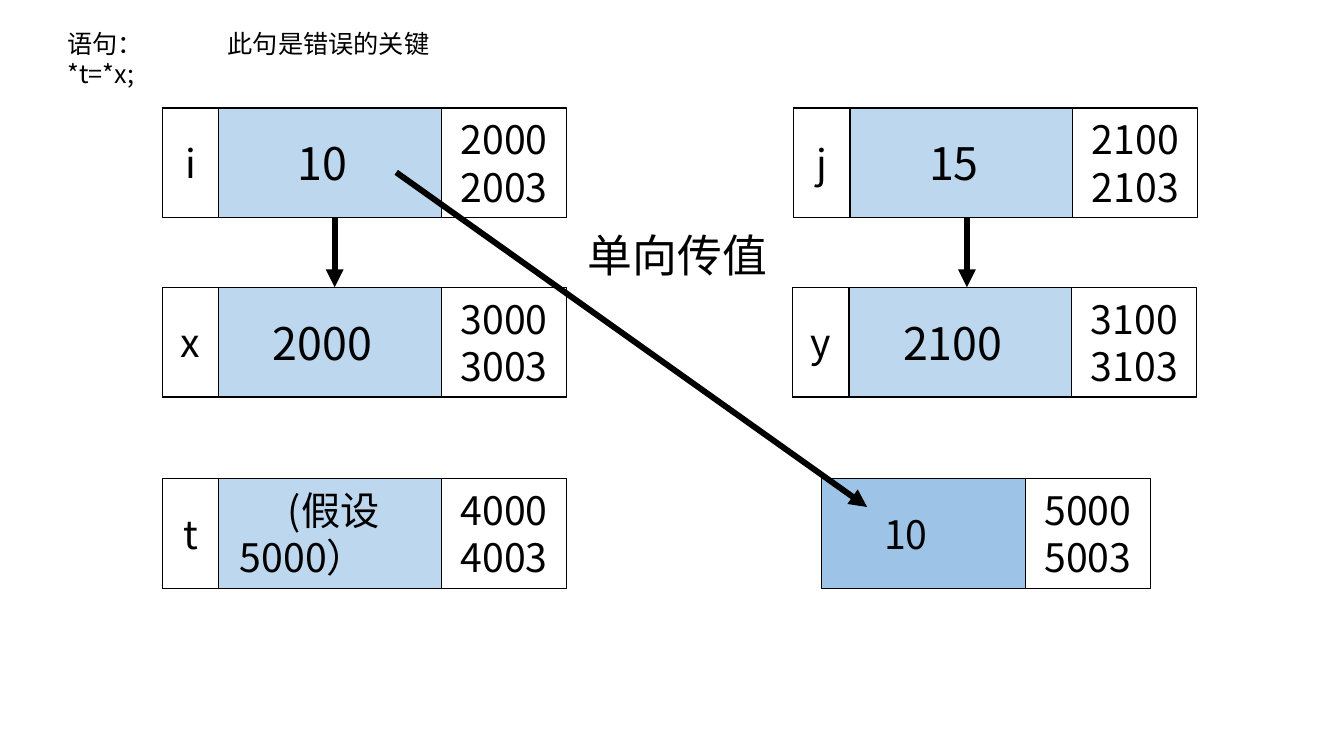
from pptx import Presentation
from pptx.dml.color import RGBColor
from pptx.enum.shapes import MSO_CONNECTOR as Connector, MSO_SHAPE as Shape
from pptx.enum.text import MSO_ANCHOR as Anchor, MSO_AUTO_SIZE as AutoSize, PP_ALIGN as Align
from pptx.oxml.ns import qn
from pptx.util import Inches, Pt

FONT = "Noto Sans CJK SC"
BLACK, WHITE, PALE_BLUE, MID_BLUE = "000000", "FFFFFF", "BDD7EE", "9DC3E6"
CELL_HEIGHT, LABEL_WIDTH, ADDRESS_WIDTH = 1.09, 0.56, 1.24
VALUE_WIDTH, OVERLAP = 2.79, 0.02

# label, value, first address, left, top, value format
VARIABLES = [
    ("i", "10", 2000, 1.61, 1.07, {}),
    ("j", "15", 2100, 7.87, 1.07, {}),
    ("x", "2000", 3000, 1.61, 2.85, {}),
    ("y", "2100", 3100, 7.86, 2.85, {}),
    ("t", "(假设5000）", 4000, 1.61, 4.75, {"size": 28, "inset": 0.1, "indent": 0.61}),
]
TARGET_FORMAT = {"size": 28, "inset": 0.62, "align": Align.LEFT, "fill": MID_BLUE}


def color(hex_value):
    return RGBColor.from_string(hex_value)


def set_format(target, values):
    for name, value in values.items():
        setattr(target, name, value)


def write(frame, lines, size, align=Align.LEFT, indent=0):
    """Fill a text frame with one paragraph per line."""
    for index, line in enumerate(lines):
        para = frame.add_paragraph() if index else frame.paragraphs[0]
        para.alignment = align
        if indent:
            para._p.get_or_add_pPr().set("indent", str(Inches(indent)))
        span = para.add_run()
        span.text = line
        set_format(span.font, {"name": FONT, "size": Pt(size)})
        span.font.color.rgb = color(BLACK)
        east_asian = span.font._element.makeelement(qn("a:ea"), {"typeface": FONT})
        span.font._element.find(qn("a:latin")).addnext(east_asian)


def add_cell(group, left, top, width, lines, size=28, fill=WHITE, inset=0.1,
             align=Align.CENTER, indent=0):
    box = group.shapes.add_shape(Shape.RECTANGLE, Inches(left), Inches(top),
                                 Inches(width), Inches(CELL_HEIGHT))
    box.shadow.inherit = False
    box.fill.solid()
    box.fill.fore_color.rgb = color(fill)
    box.line.color.rgb = color(BLACK)
    box.line.width = Pt(1)
    set_format(box.text_frame, {"word_wrap": True, "vertical_anchor": Anchor.MIDDLE,
                                "margin_left": Inches(inset)})
    write(box.text_frame, lines, size, align, indent)


def add_memory(page, label, value, address, left, top, value_format, width=VALUE_WIDTH):
    """Group a value cell with its address range and, if named, its label."""
    group = page.shapes.add_group_shape()
    value_style = {"size": 32, "fill": PALE_BLUE, "inset": 0.49, **value_format}
    add_cell(group, left, top, width, [value], **value_style)
    if label:
        add_cell(group, left, top, LABEL_WIDTH, [label])
    add_cell(group, left + width - OVERLAP, top, ADDRESS_WIDTH,
             [str(address), str(address + 3)])


def add_arrow(page, start, end):
    arrow = page.shapes.add_connector(Connector.STRAIGHT,
                                      *(Inches(length) for length in (*start, *end)))
    arrow.line.color.rgb = color(BLACK)
    arrow.line.width = Pt(4.25)
    line = arrow.line._get_or_add_ln()
    line.append(line.makeelement(qn("a:tailEnd"), {"type": "triangle"}))
    properties = arrow._element.spPr
    properties.append(properties.makeelement(qn("a:effectLst"), {}))


def add_note(page, text, left, top, width, height, size, wrap=True):
    box = page.shapes.add_textbox(Inches(left), Inches(top), Inches(width), Inches(height))
    set_format(box.text_frame, {"word_wrap": wrap, "auto_size": AutoSize.SHAPE_TO_FIT_TEXT})
    write(box.text_frame, [text], size)


def main():
    deck = Presentation()
    set_format(deck, {"slide_width": Inches(13.33), "slide_height": Inches(7.5)})
    page = deck.slides.add_slide(deck.slide_layouts[6])

    for variable in VARIABLES:
        add_memory(page, *variable)
    add_memory(page, None, "10", 5000, 8.15, 4.75, TARGET_FORMAT, width=2.04)

    for x in (3.32, 9.59):
        add_arrow(page, (x, 2.16), (x, 2.85))
    add_arrow(page, (3.93, 1.71), (8.6, 5.03))

    add_note(page, "单向传值", 5.73, 2.21, 2, 0.64, 32, wrap=False)
    add_note(page, "语句：*t=*x;", 0.57, 0.23, 1.58, 0.4, 18)
    add_note(page, "此句是错误的关键", 2.16, 0.23, 2.37, 0.4, 18)

    deck.save("out.pptx")


if __name__ == "__main__":
    main()
